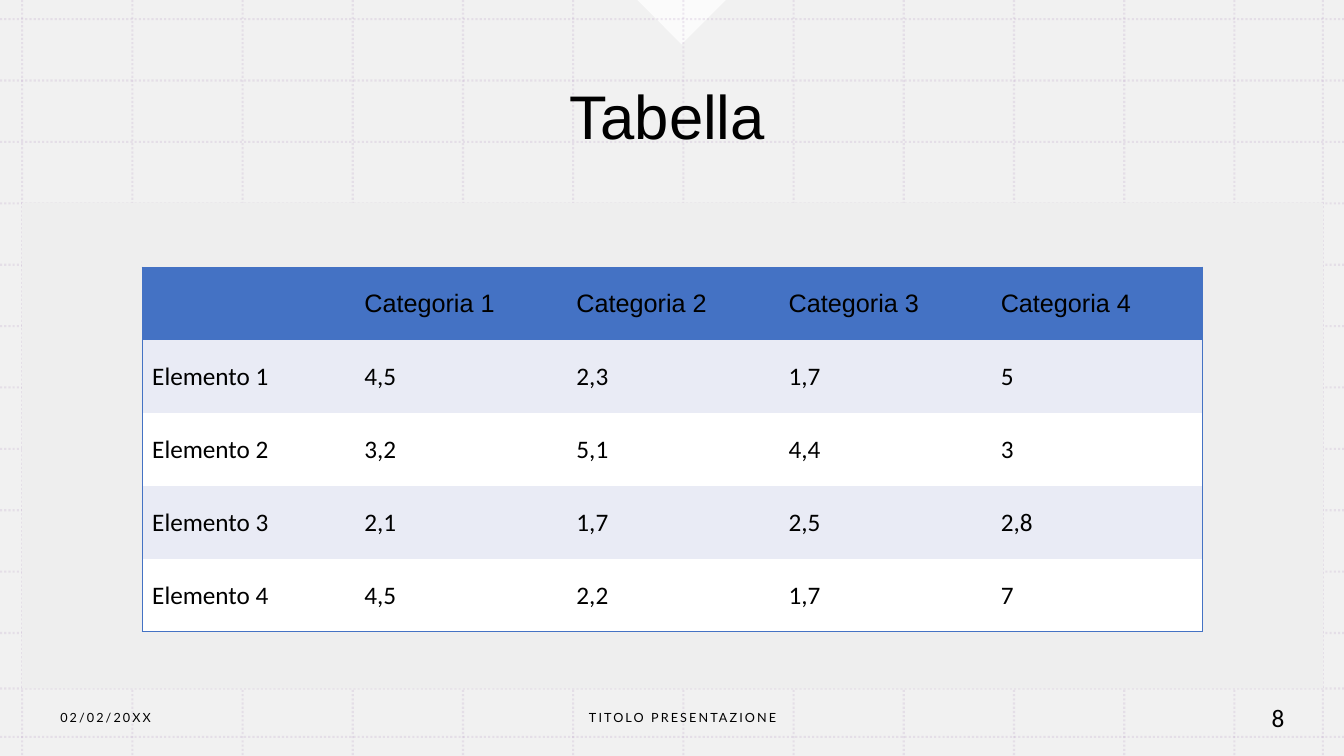
"""Builds the "Tabella" slide: a dotted grid backdrop, a title, a table and a footer."""
import pptx
import pptx.util
import pptx.dml.color
import pptx.enum.dml
import pptx.enum.shapes
import pptx.enum.text
import pptx.oxml
import pptx.oxml.ns

Inches, Pt = pptx.util.Inches, pptx.util.Pt
PP_ALIGN = pptx.enum.text.PP_ALIGN
COLORS = {"backdrop": "EEEEEE", "grid": "B495C2", "white": "FFFFFF", "text": "000000",
          "header": "4472C4", "band": "E9EBF5"}
WIDTH, HEIGHT = 13.33, 7.5
GRID_LEFT, GRID_TOP = 0.22, 0.19
COLUMN, ROW = 1.093, 0.609
RIGHT, PANEL_TOP, PANEL_BOTTOM, LAST_ROW = 13.12, 2.01, 6.83, 7.31
TABLE_LEFT, TABLE_TOP, TABLE_WIDTH, TABLE_HEIGHT = 1.41, 2.65, 10.52, 3.62
FOOTER_TOP, FOOTER_HEIGHT = 6.92, 0.4

VALUES = [
    ["", "Categoria 1", "Categoria 2", "Categoria 3", "Categoria 4"],
    ["Elemento 1", "4,5", "2,3", "1,7", "5"],
    ["Elemento 2", "3,2", "5,1", "4,4", "3"],
    ["Elemento 3", "2,1", "1,7", "2,5", "2,8"],
    ["Elemento 4", "4,5", "2,2", "1,7", "7"],
]


def rgb(name):
    """Return the named colour."""
    return pptx.dml.color.RGBColor.from_string(COLORS[name])


def set_opacity(fill, percent):
    """Make a solid fill partly transparent."""
    color = fill._xPr.find(".//" + pptx.oxml.ns.qn("a:srgbClr"))
    alpha = pptx.oxml.parse_xml(
        f'<a:alpha {pptx.oxml.ns.nsdecls("a")} val="{percent * 1000}"/>')
    color.append(alpha)


def paint(shape, color, opacity=100):
    """Give a shape a plain fill without line or shadow."""
    shape.shadow.inherit = False
    shape.line.fill.background()
    shape.fill.solid()
    shape.fill.fore_color.rgb = rgb(color)
    if opacity < 100:
        set_opacity(shape.fill, opacity)


def add_block(slide, left, top, right, bottom, opacity=100):
    """Add a flat rectangle in the backdrop colour."""
    block = slide.shapes.add_shape(
        pptx.enum.shapes.MSO_SHAPE.RECTANGLE, Inches(left), Inches(top),
        Inches(right - left), Inches(bottom - top))
    paint(block, "backdrop", opacity)


def add_notch(slide):
    """Add the pale triangle at the top edge."""
    builder = slide.shapes.build_freeform(Inches(6.76), Inches(0.44))
    builder.add_line_segments([(Inches(6.32), 0), (Inches(7.2), 0)], close=True)
    paint(builder.convert_to_shape(), "white", 75)


def add_grid_line(slide, x1, y1, x2, y2):
    """Add one faint dotted line."""
    line = slide.shapes.add_connector(
        pptx.enum.shapes.MSO_CONNECTOR.STRAIGHT,
        Inches(x1), Inches(y1), Inches(x2), Inches(y2))
    line.line.width = Pt(1.5)
    line.line.color.rgb = rgb("grid")
    line.line.dash_style = pptx.enum.dml.MSO_LINE.ROUND_DOT
    set_opacity(line.line.fill, 20)
    line._element.spPr.append(
        pptx.oxml.parse_xml(f'<a:effectLst {pptx.oxml.ns.nsdecls("a")}/>'))


def add_backdrop(slide):
    """Add the wash, the notch, the grid and the panel."""
    add_block(slide, 0, 0, WIDTH, HEIGHT, 80)
    add_notch(slide)
    for x in [GRID_LEFT + COLUMN * i for i in range(12)] + [RIGHT]:
        add_grid_line(slide, x, 0, x, HEIGHT)
    for y in [GRID_TOP + ROW * i for i in range(11)] + [PANEL_BOTTOM, LAST_ROW]:
        add_grid_line(slide, 0, y, WIDTH, y)
    add_block(slide, GRID_LEFT, PANEL_TOP, RIGHT, PANEL_BOTTOM)


def style_paragraph(paragraph, size, font, align=PP_ALIGN.LEFT):
    """Set font, size, colour and alignment of a paragraph."""
    paragraph.alignment = align
    paragraph.font.size = Pt(size)
    paragraph.font.name = font
    paragraph.font.bold = False
    paragraph.font.color.rgb = rgb("text")


def set_title(slide, text):
    """Fill the title placeholder and bring it above the backdrop."""
    title = slide.shapes.title
    title.left, title.top = Inches(0.33), Inches(0.37)
    title.width, title.height = Inches(12.58), Inches(1.64)
    title.text_frame.text = text
    title.text_frame.vertical_anchor = pptx.enum.text.MSO_ANCHOR.MIDDLE
    paragraph = title.text_frame.paragraphs[0]
    paragraph.line_spacing = 0.9
    style_paragraph(paragraph, 44, "Arial", PP_ALIGN.CENTER)
    slide.shapes._spTree.append(title._element)


def set_borders(cell, outer_sides):
    """Draw the table's outer edges and hide the inner ones."""
    properties = cell._tc.get_or_add_tcPr()
    for index, side in enumerate("LRTB"):
        stroke = "<a:noFill/>"
        if side in outer_sides:
            stroke = f'<a:solidFill><a:srgbClr val="{COLORS["header"]}"/></a:solidFill>'
        properties.insert(index, pptx.oxml.parse_xml(
            f'<a:ln{side} {pptx.oxml.ns.nsdecls("a")} w="12700">{stroke}</a:ln{side}>'))


def add_value_table(slide):
    """Add the banded table of elements by category."""
    row_count, column_count = len(VALUES), len(VALUES[0])
    table = slide.shapes.add_table(
        row_count, column_count, Inches(TABLE_LEFT), Inches(TABLE_TOP),
        Inches(TABLE_WIDTH), Inches(TABLE_HEIGHT)).table
    for r, row in enumerate(VALUES):
        fill = "header" if r == 0 else "band" if r % 2 else "white"
        for c, value in enumerate(row):
            cell = table.cell(r, c)
            cell.text = value
            cell.vertical_anchor = pptx.enum.text.MSO_ANCHOR.MIDDLE
            cell.fill.solid()
            cell.fill.fore_color.rgb = rgb(fill)
            style_paragraph(cell.text_frame.paragraphs[0], 18, "Calibri" if r else "Arial")
            edges = {"L": c == 0, "R": c == column_count - 1,
                     "T": r == 0, "B": r == row_count - 1}
            set_borders(cell, [side for side, outer in edges.items() if outer])


def add_footer(slide, text, left, width, size, font, align, spacing=0):
    """Add one footer text, with letter spacing in points."""
    box = slide.shapes.add_textbox(
        Inches(left), Inches(FOOTER_TOP), Inches(width), Inches(FOOTER_HEIGHT))
    frame = box.text_frame
    frame.word_wrap = True
    frame.vertical_anchor = pptx.enum.text.MSO_ANCHOR.MIDDLE
    frame.text = text
    paragraph = frame.paragraphs[0]
    style_paragraph(paragraph, size, font, align)
    if spacing:
        paragraph.runs[0].font._element.set("spc", str(int(spacing * 100)))


def main():
    """Build and save the slide."""
    deck = pptx.Presentation()
    deck.slide_width, deck.slide_height = Inches(WIDTH), Inches(HEIGHT)
    slide = deck.slides.add_slide(deck.slide_layouts[5])
    add_backdrop(slide)
    set_title(slide, "Tabella")
    add_value_table(slide)
    add_footer(slide, "02/02/20XX", 0.5, 2.8, 9, "Lato", PP_ALIGN.LEFT, 1.5)
    add_footer(slide, "TITOLO PRESENTAZIONE", 4.59, 4.36, 9, "Lato", PP_ALIGN.CENTER, 1.5)
    add_footer(slide, "8", 12.24, 0.87, 18, "Calibri", PP_ALIGN.CENTER)
    deck.save("out.pptx")


if __name__ == "__main__":
    main()
